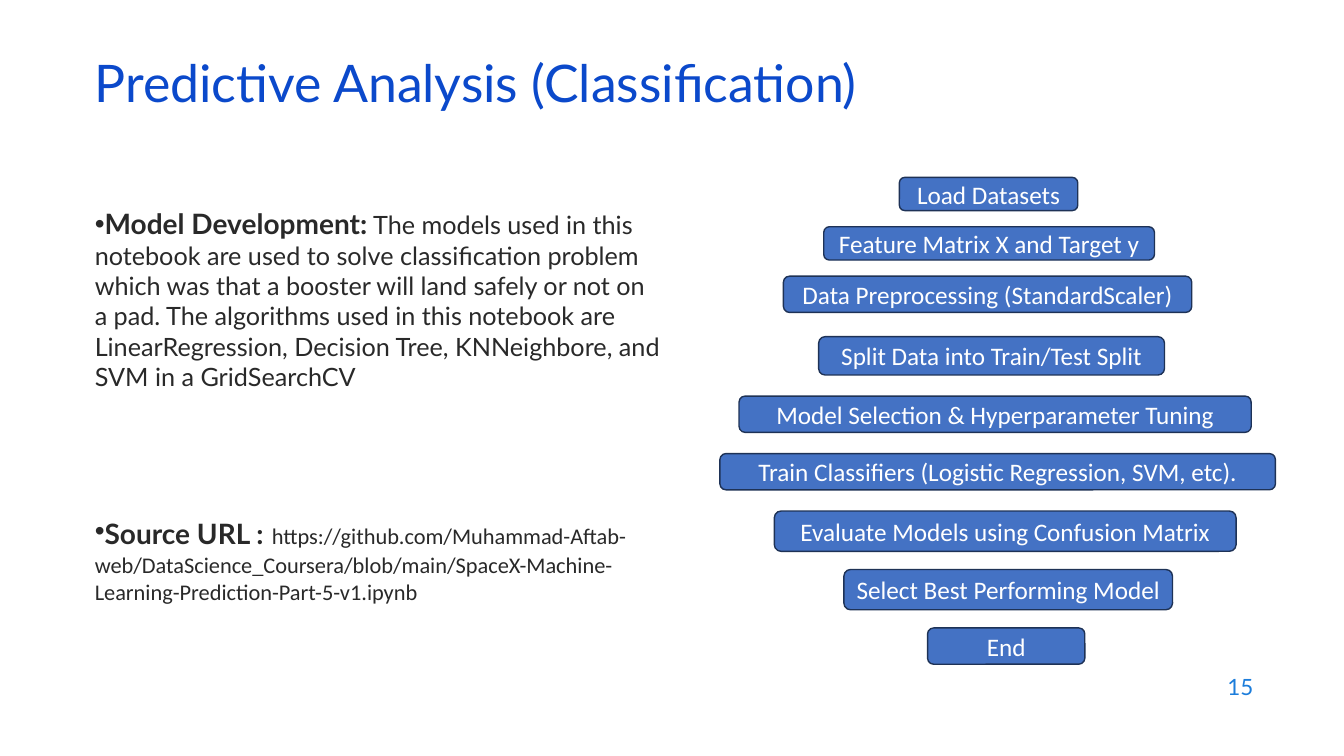
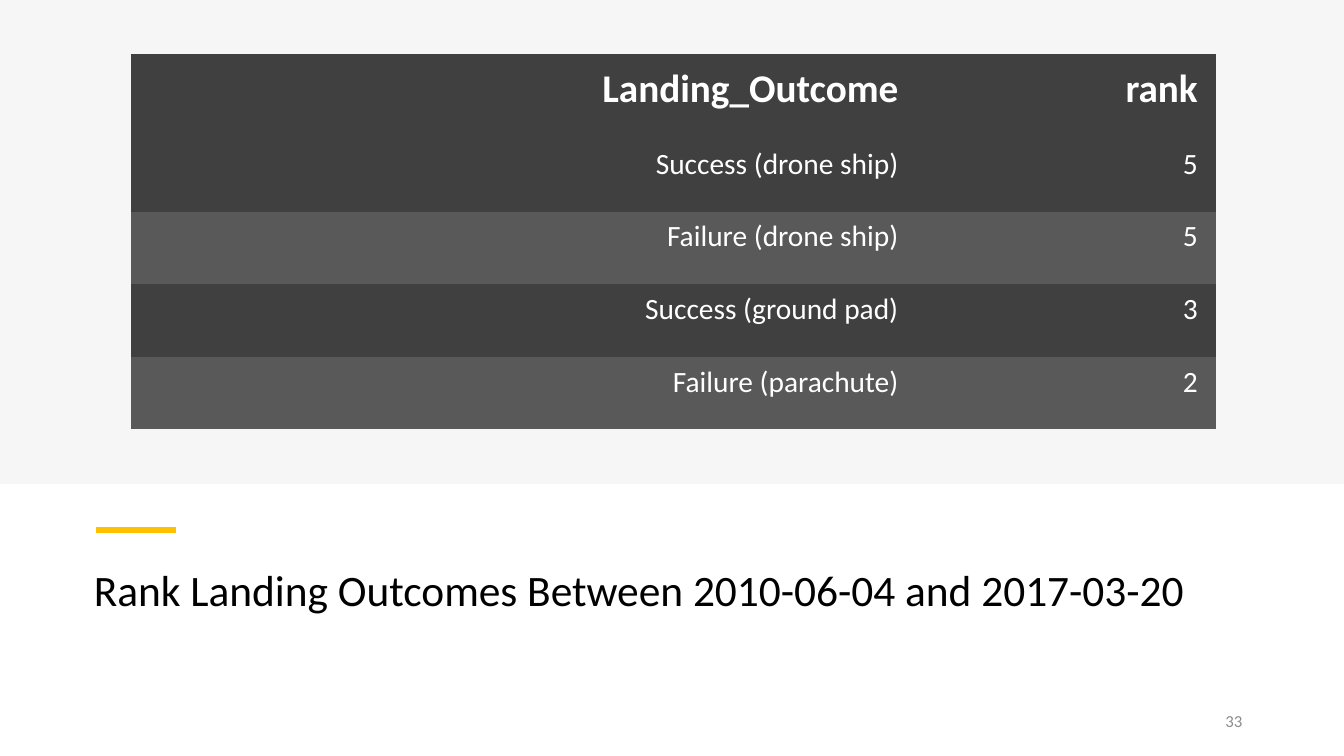
from lxml.etree import SubElement
from pptx import Presentation
from pptx.dml.color import RGBColor
from pptx.enum.shapes import MSO_CONNECTOR, MSO_SHAPE
from pptx.enum.text import MSO_ANCHOR, MSO_AUTO_SIZE, PP_ALIGN
from pptx.oxml.ns import qn
from pptx.util import Inches, Pt

HEAD_FONT, BODY_FONT = "Lato", "Calibri"
WHITE, BLACK, INK = "FFFFFF", "000000", "292929"
BLUE, NAVY = "4472C4", "1E3256"
DARK, MID = "404040", "595959"
NO_TABLE_STYLE = "{2D5ABB26-0587-4C30-8999-92F81FD0307C}"


def style(r, size, color, font=BODY_FONT, bold=False):
    r.font.size = Pt(size)
    r.font.name = font
    r.font.bold = bold
    r.font.color.rgb = RGBColor.from_string(color)


def place(sp, left, top, width, height):
    sp.left, sp.top = Inches(left), Inches(top)
    sp.width, sp.height = Inches(width), Inches(height)


prs = Presentation()
prs.slide_width, prs.slide_height = Inches(13.33), Inches(7.5)
model_slide = prs.slides.add_slide(prs.slide_layouts[1])
rank_slide = prs.slides.add_slide(prs.slide_layouts[5])

# Titles and slide numbers
titles = [
    (model_slide, "Predictive Analysis (Classification)",
     (0.84, 0.59, 11.5, 0.6), 37, HEAD_FONT, "0B49CB", 0.7),
    (rank_slide, "Rank Landing Outcomes Between 2010-06-04 and 2017-03-20",
     (0.83, 5.55, 11.06, 0.65), 31, BODY_FONT, BLACK, 0.9),
]
for s, text, box, size, font, color, spacing in titles:
    place(s.shapes.title, *box)
    tf = s.shapes.title.text_frame
    tf.text = text
    tf.auto_size = MSO_AUTO_SIZE.NONE
    tf.vertical_anchor = MSO_ANCHOR.MIDDLE
    p = tf.paragraphs[0]
    p.alignment = PP_ALIGN.LEFT
    p.line_spacing = spacing
    style(p.runs[0], size, color, font)

numbers = [
    (model_slide, "15", (9.53, 6.59, 3, 0.44), 16, HEAD_FONT, "1C7DDB"),
    (rank_slide, "33", (9.42, 6.95, 3, 0.4), 12, BODY_FONT, "8C8C8C"),
]
for s, text, box, size, font, color in numbers:
    tf = s.shapes.add_textbox(*map(Inches, box)).text_frame
    tf.word_wrap = True
    tf.vertical_anchor = MSO_ANCHOR.MIDDLE
    tf.text = text
    p = tf.paragraphs[0]
    p.alignment = PP_ALIGN.RIGHT
    style(p.runs[0], size, color, font)

# Model slide: bulleted text
body = model_slide.placeholders[1]
place(body, 0.84, 2, 5.82, 4.59)
tf = body.text_frame
tf.auto_size = MSO_AUTO_SIZE.NONE
bullets = [
    (0, [("Model Development:", 20, HEAD_FONT, True),
         (" The models used in this notebook are used to solve classification "
          "problem which was that a booster will land safely or not on a pad. "
          "The algorithms used in this notebook are LinearRegression, Decision "
          "Tree, KNNeighbore, and SVM in a GridSearchCV", 18, HEAD_FONT, False)]),
    (85, [("Source URL :", 20, HEAD_FONT, True),
          (" ", 24, HEAD_FONT, True),
          ("https://github.com/Muhammad-Aftab-web/DataScience_Coursera/blob/main/"
           "SpaceX-Machine-Learning-Prediction-Part-5-v1.ipynb",
           16, BODY_FONT, False)]),
]
for i, (space_before, runs) in enumerate(bullets):
    p = tf.add_paragraph() if i else tf.paragraphs[0]
    pPr = p._p.get_or_add_pPr()
    pPr.set("marL", "0")
    pPr.set("indent", "0")
    SubElement(pPr, qn("a:buFont")).set("typeface", "Arial")
    SubElement(pPr, qn("a:buChar")).set("char", "•")
    p.space_before = Pt(space_before)
    for text, size, font, bold in runs:
        r = p.add_run()
        r.text = text
        style(r, size, INK, font, bold)

# Model slide: steps of the workflow
steps = [
    ("Load Datasets", 8.92, 1.76, 1.77, 0.33),
    ("Feature Matrix X and Target y", 8.17, 2.25, 3.28, 0.33),
    ("Data Preprocessing (StandardScaler)", 7.77, 2.74, 4.05, 0.36),
    ("Split Data into Train/Test Split", 8.12, 3.34, 3.43, 0.38),
    ("Model Selection & Hyperparameter Tuning", 7.33, 3.93, 5.08, 0.36),
    ("Train Classifiers (Logistic Regression, SVM, etc).", 7.14, 4.5, 5.51, 0.36),
    ("Evaluate Models using Confusion Matrix", 7.68, 5.07, 4.58, 0.4),
    ("Select Best Performing Model", 8.37, 5.65, 3.26, 0.4),
    ("End", 9.2, 6.23, 1.56, 0.36),
]
for text, *box in steps:
    sp = model_slide.shapes.add_shape(MSO_SHAPE.ROUNDED_RECTANGLE, *map(Inches, box))
    sp.shadow.inherit = False
    sp.fill.solid()
    sp.fill.fore_color.rgb = RGBColor.from_string(BLUE)
    sp.line.color.rgb = RGBColor.from_string(NAVY)
    sp.line.width = Pt(1)
    tf = sp.text_frame
    tf.text = text
    tf.word_wrap = False
    tf.vertical_anchor = MSO_ANCHOR.MIDDLE
    p = tf.paragraphs[0]
    p.alignment = PP_ALIGN.CENTER
    style(p.runs[0], 18, WHITE)

# Rank slide: band and accent line
band = rank_slide.shapes.add_shape(
    MSO_SHAPE.RECTANGLE, 0, 0, prs.slide_width, Inches(4.8))
band.shadow.inherit = False
band.line.fill.background()
band.fill.solid()
band.fill.fore_color.rgb = RGBColor.from_string("F2F2F2")
band_color = band._element.spPr.find(qn("a:solidFill"))[0]
SubElement(band_color, qn("a:alpha")).set("val", "65000")

accent = rank_slide.shapes.add_connector(
    MSO_CONNECTOR.STRAIGHT, Inches(0.95), Inches(5.26), Inches(1.75), Inches(5.26))
accent.line.color.rgb = RGBColor.from_string("FFC000")
accent.line.width = Pt(4.5)
SubElement(accent._element.spPr, qn("a:effectLst"))

# Rank slide: table
rows = [
    ("Landing_Outcome", "rank"),
    ("Success (drone ship)", "5"),
    ("Failure (drone ship)", "5"),
    ("Success (ground pad)", "3"),
    ("Failure (parachute)", "2"),
]
table = rank_slide.shapes.add_table(
    len(rows), 2, Inches(1.3), Inches(0.54), Inches(10.76), Inches(3.72)).table
table._tbl.tblPr.find(qn("a:tableStyleId")).text = NO_TABLE_STYLE
table.columns[0].width, table.columns[1].width = Inches(7.79), Inches(2.97)
for i, row in enumerate(rows):
    header = i == 0
    table.rows[i].height = Inches(0.84 if header else 0.72)
    for j, text in enumerate(row):
        cell = table.cell(i, j)
        cell.text = text
        cell.margin_left, cell.margin_right = Inches(0.12), Inches(0.18)
        cell.margin_top, cell.margin_bottom = Inches(0.04), Inches(0.26)
        cell.vertical_anchor = MSO_ANCHOR.BOTTOM if header else MSO_ANCHOR.MIDDLE
        cell.fill.solid()
        cell.fill.fore_color.rgb = RGBColor.from_string(
            DARK if header or i % 2 else MID)
        p = cell.text_frame.paragraphs[0]
        p.alignment = PP_ALIGN.RIGHT
        style(p.runs[0], 28 if header else 21, WHITE, bold=header)

prs.save("out.pptx")
